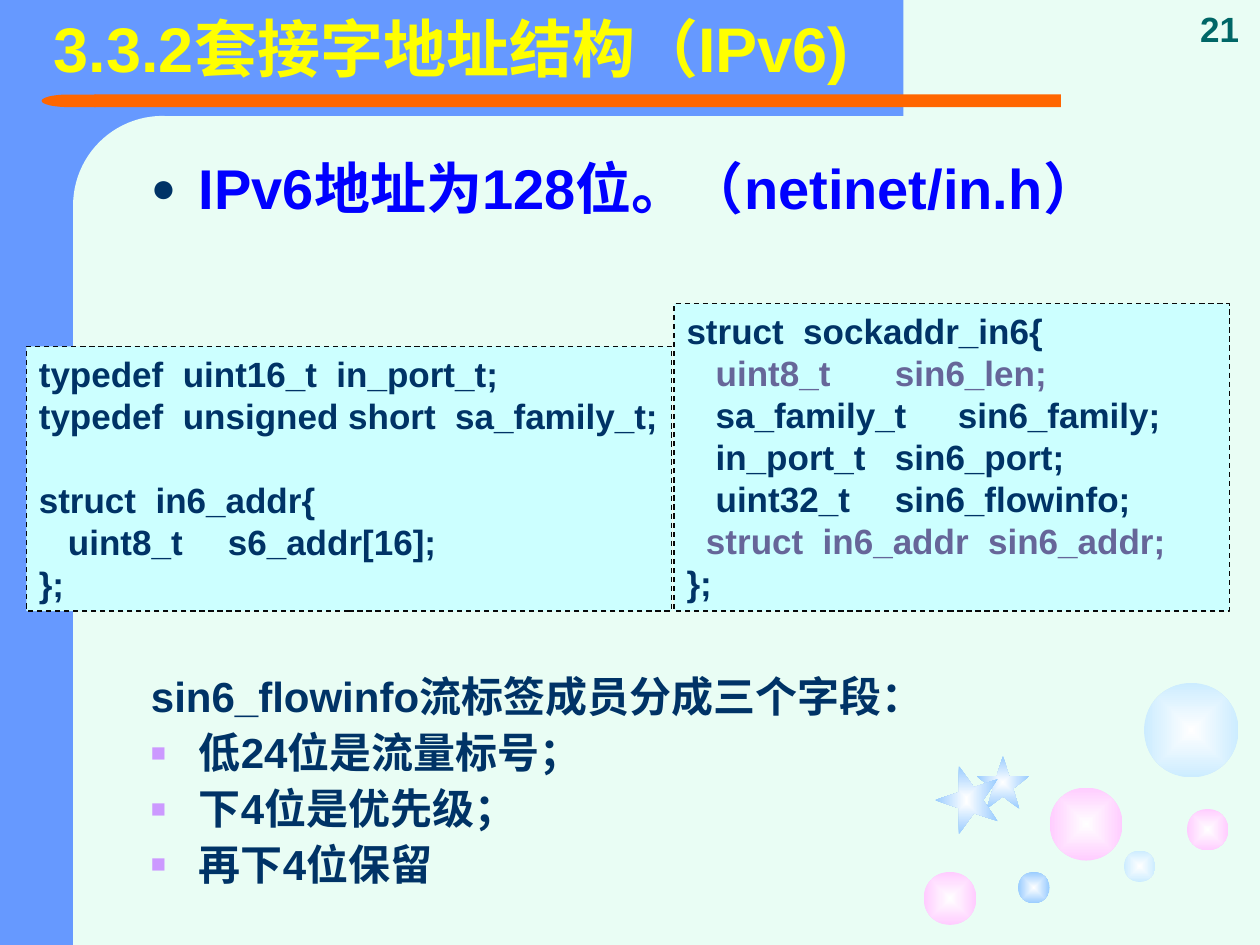
from lxml.etree import SubElement
from pptx import Presentation
from pptx.dml.color import RGBColor
from pptx.enum.dml import MSO_LINE
from pptx.enum.shapes import MSO_SHAPE
from pptx.enum.text import MSO_ANCHOR, MSO_AUTO_SIZE, PP_ALIGN
from pptx.oxml.ns import qn
from pptx.util import Inches, Pt

COLORS = {
    "paper": "E9FDF4", "band": "6699FF", "rule": "FF6600",
    "pink": "FFCCFF", "sky": "CCECFF", "blue": "99CCFF", "white": "FFFFFF",
    "title": "FFFF00", "lead": "0000FF", "ink": "003366", "muted": "666699",
    "code": "CCFFFF", "border": "080808", "square": "CC99FF", "number": "006666",
}


def color(name):
    return RGBColor.from_string(COLORS[name])


class SlideBuilder:
    font_name = "Arial"

    def __init__(self, page):
        self.page = page
        page.background.fill.solid()
        page.background.fill.fore_color.rgb = color("paper")

    def shape(self, kind, place, fill, rotation=0):
        shape = self.page.shapes.add_shape(kind, *map(Inches, place))
        shape.shadow.inherit = False
        shape.rotation = rotation
        shape.line.fill.background()
        shape.fill.solid()
        shape.fill.fore_color.rgb = color(fill)
        return shape

    def glow(self, kind, place, edge, rotation=0):
        """A shape that fades from a white centre to its edge colour."""
        shape = self.shape(kind, place, edge, rotation)
        shape.fill.gradient()
        for stop, name in zip(shape.fill.gradient_stops, ("white", edge)):
            stop.color.rgb = color(name)
        gradient = shape.fill._xPr.find(qn("a:gradFill"))
        gradient.remove(gradient.find(qn("a:lin")))
        shading = SubElement(gradient, qn("a:path"), {"path": "rect"})
        SubElement(shading, qn("a:fillToRect"), dict.fromkeys("ltrb", "50000"))

    def frame(self, box, **formats):
        defaults = {"word_wrap": True, "vertical_anchor": MSO_ANCHOR.TOP}
        for name, value in {**defaults, **formats}.items():
            setattr(box.text_frame, name, value)
        return box.text_frame

    def text(self, place, **formats):
        box = self.page.shapes.add_textbox(*map(Inches, place))
        return self.frame(box, **formats)

    def code(self, place, lines, wrap):
        box = self.shape(MSO_SHAPE.RECTANGLE, place, "code")
        line_format = {"width": Pt(0.75), "dash_style": MSO_LINE.DASH}
        box.line.color.rgb = color("border")
        for name, value in line_format.items():
            setattr(box.line, name, value)
        frame = self.frame(box, word_wrap=wrap,
                           auto_size=MSO_AUTO_SIZE.SHAPE_TO_FIT_TEXT)
        for spans, gap in lines:
            self.paragraph(frame, spans, 20, alignment=PP_ALIGN.LEFT,
                           space_before=Pt(gap))

    def paragraph(self, frame, spans, size, bullet=None, hanging=False, **formats):
        """Each span is a pair of text and colour name."""
        first = not frame.paragraphs[0].runs
        para = frame.paragraphs[0] if first else frame.add_paragraph()
        for name, value in formats.items():
            setattr(para, name, value)
        properties = para._p.get_or_add_pPr()
        if hanging:
            properties.set("marL", str(Inches(0.38)))
            properties.set("indent", str(Inches(-0.38)))
        if bullet:
            mark, tint, percent = bullet
            holder = SubElement(properties, qn("a:buClr"))
            SubElement(holder, qn("a:srgbClr"), val=COLORS[tint])
            SubElement(properties, qn("a:buSzPct"), val=str(percent * 1000))
            SubElement(properties, qn("a:buFont"), typeface=self.font_name)
            SubElement(properties, qn("a:buChar"), char=mark)
        for words, tint in spans:
            span = para.add_run()
            span.text = words
            style = {"name": self.font_name, "size": Pt(size), "bold": True}
            for name, value in style.items():
                setattr(span.font, name, value)
            span.font.color.rgb = color(tint)


def main():
    deck = Presentation()
    deck.slide_width, deck.slide_height = Inches(10), Inches(7.5)
    slide = SlideBuilder(deck.slides.add_slide(deck.slide_layouts[6]))

    # Side and top bands with the rounded inner corner
    slide.shape(MSO_SHAPE.RECTANGLE, (0, 0, 1.25, 7.5), "band")
    slide.shape(MSO_SHAPE.RECTANGLE, (0.5, 0, 6.67, 0.92), "band")
    corner = slide.shape(MSO_SHAPE.ROUNDED_RECTANGLE, (0.58, 0.92, 1.42, 5.75), "paper")
    corner.adjustments[0] = 0.5

    # Title rule with a rounded left end
    slide.shape(MSO_SHAPE.RECTANGLE, (0.75, 0.75, 7.67, 0.1), "rule")
    slide.shape(MSO_SHAPE.FLOWCHART_DELAY, (0.33, 0.75, 0.43, 0.1), "rule", 180)
    slide.shape(MSO_SHAPE.RECTANGLE, (0.58, 5.92, 1.42, 1.58), "paper")

    # Bubbles and stars
    bubbles = [(8.33, 6.25, 0.58, "pink"), (7.33, 6.92, 0.42, "pink"),
               (8.92, 6.75, 0.25, "sky"), (9.42, 6.42, 0.33, "pink"),
               (9.08, 5.42, 0.75, "sky"), (8.08, 6.92, 0.25, "blue")]
    for left, top, size, edge in bubbles:
        slide.glow(MSO_SHAPE.OVAL, (left, top, size, size), edge)
    slide.glow(MSO_SHAPE.STAR_5_POINT, (7.75, 6, 0.42, 0.42), "blue")
    slide.glow(MSO_SHAPE.STAR_5_POINT, (7.4, 6.1, 0.54, 0.5), "blue", 270)

    # Lead point and title
    lead = slide.text((1.1, 1.23, 8.5, 0.7))
    slide.paragraph(lead, [("IPv6地址为128位。（netinet/in.h）", "lead")], 32,
                    bullet=("●", "ink", 75), hanging=True, line_spacing=0.9)
    title = slide.text((0.33, 0, 8.42, 0.83), vertical_anchor=MSO_ANCHOR.MIDDLE)
    slide.paragraph(title, [("3.3.2套接字地址结构（IPv6)", "title")], 36,
                    line_spacing=0.9)

    # Code listings: spans of each line, then the space before it
    slide.code((0.21, 2.75, 5.12, 2.1), [
        ([("typedef  uint16_t  in_port_t;", "ink")], 0),
        ([("typedef  unsigned short  sa_family_t;", "ink")], 0),
        ([("struct  in6_addr{", "ink")], 24),
        ([("   uint8_t\ts6_addr[16];", "ink")], 0),
        ([("};", "ink")], 0),
    ], wrap=False)
    slide.code((5.35, 2.41, 4.41, 2.44), [
        ([("struct  sockaddr_in6{", "ink")], 0),
        ([("   ", "ink"), ("uint8_t  \t  sin6_len;", "muted")], 0),
        ([("   sa_family_t\t  sin6_family;", "ink")], 0),
        ([("   in_port_t\t  sin6_port;", "ink")], 0),
        ([("   uint32_t\t  sin6_flowinfo;", "ink")], 0),
        ([("  ", "ink"), ("struct  in6_addr  sin6_addr;", "muted")], 0),
        ([("};", "ink")], 0),
    ], wrap=True)

    # Fields of the flow label
    fields = slide.text((1.1, 5.32, 8.5, 0.7))
    slide.paragraph(fields, [("sin6_flowinfo流标签成员分成三个字段：", "ink")], 24,
                    hanging=True, line_spacing=0.9)
    for words in ("低24位是流量标号；", "下4位是优先级；", "再下4位保留"):
        slide.paragraph(fields, [(words, "ink")], 24, bullet=("■", "square", 60),
                        hanging=True, line_spacing=0.9, space_before=Pt(6))

    # Page number
    number = slide.text((9.36, 0, 0.64, 0.44), vertical_anchor=MSO_ANCHOR.BOTTOM)
    slide.paragraph(number, [("21", "number")], 20, alignment=PP_ALIGN.CENTER)

    deck.save("out.pptx")


if __name__ == "__main__":
    main()
